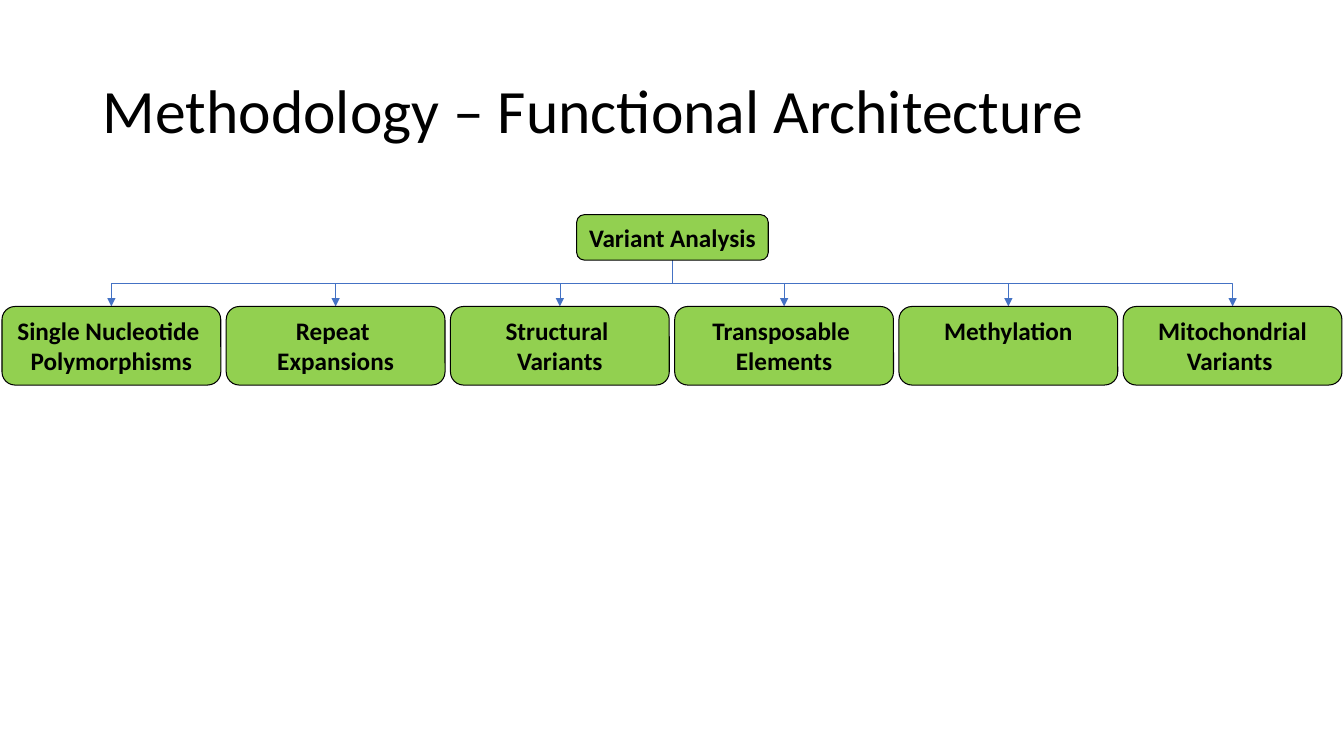
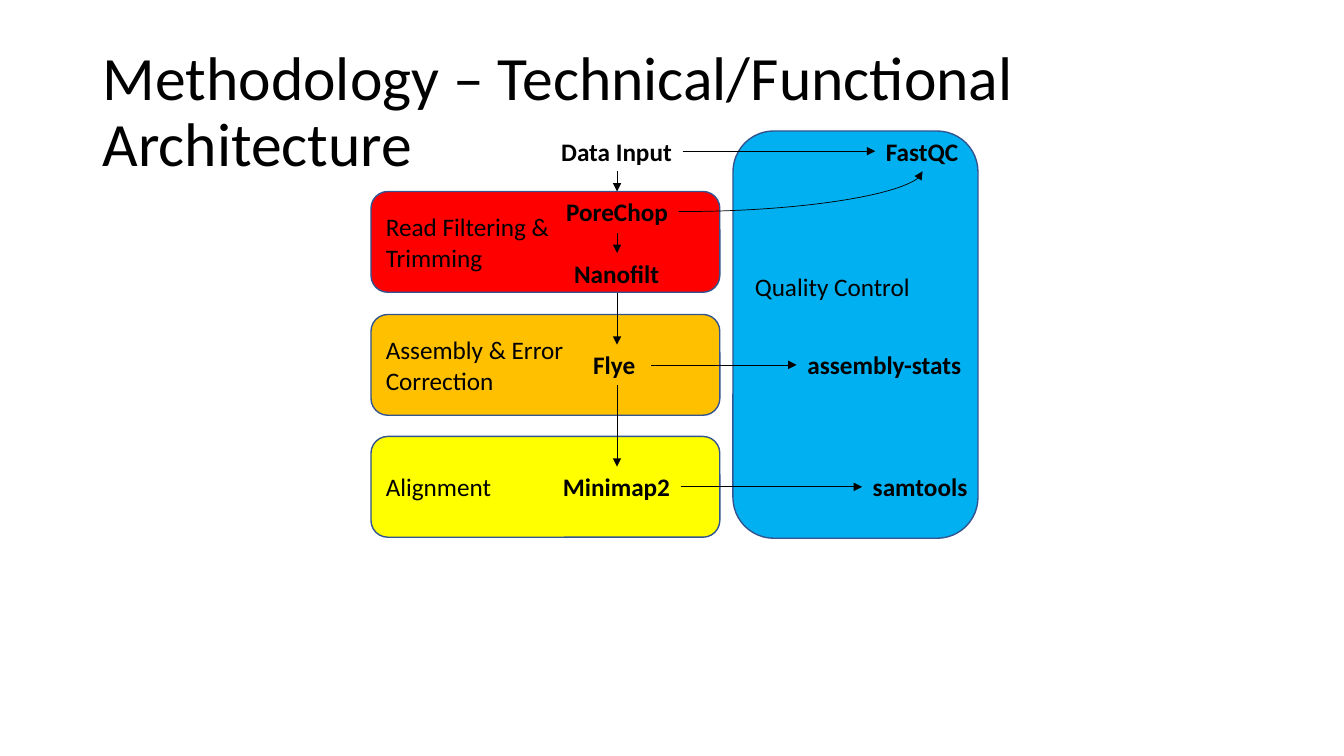
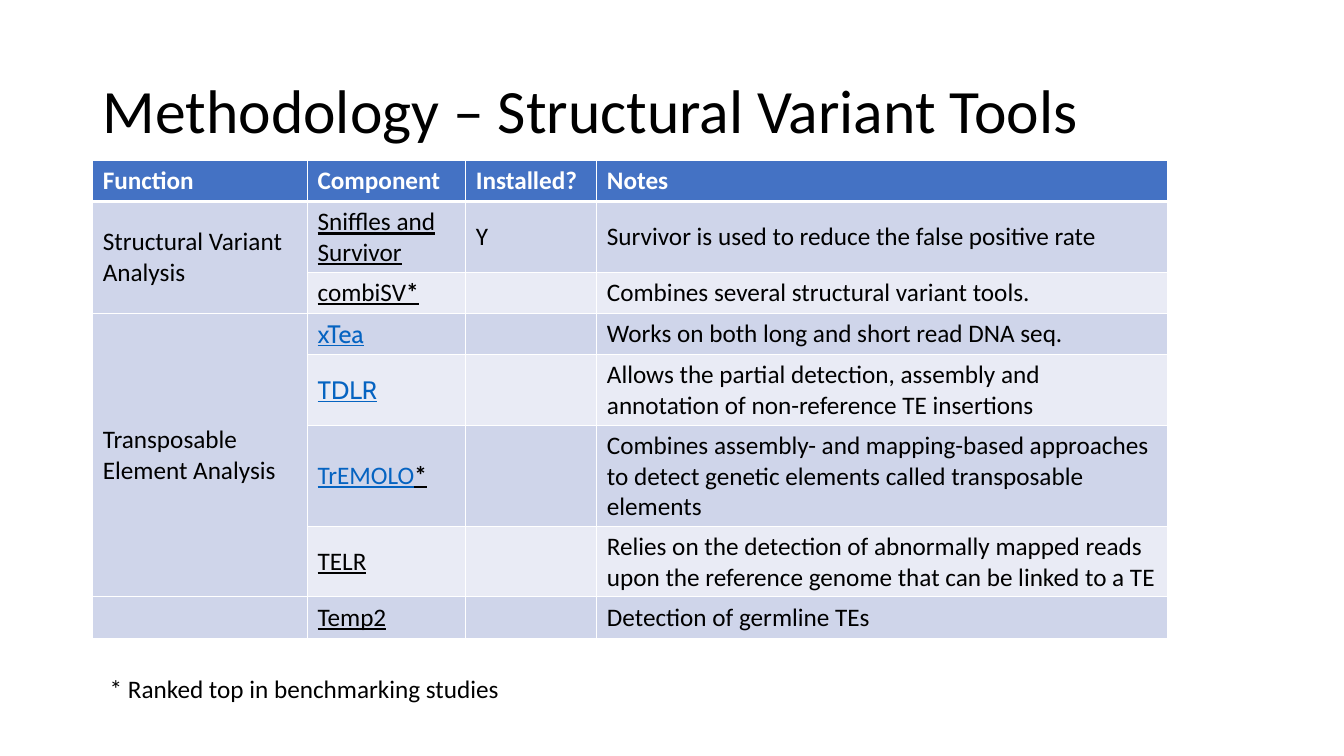
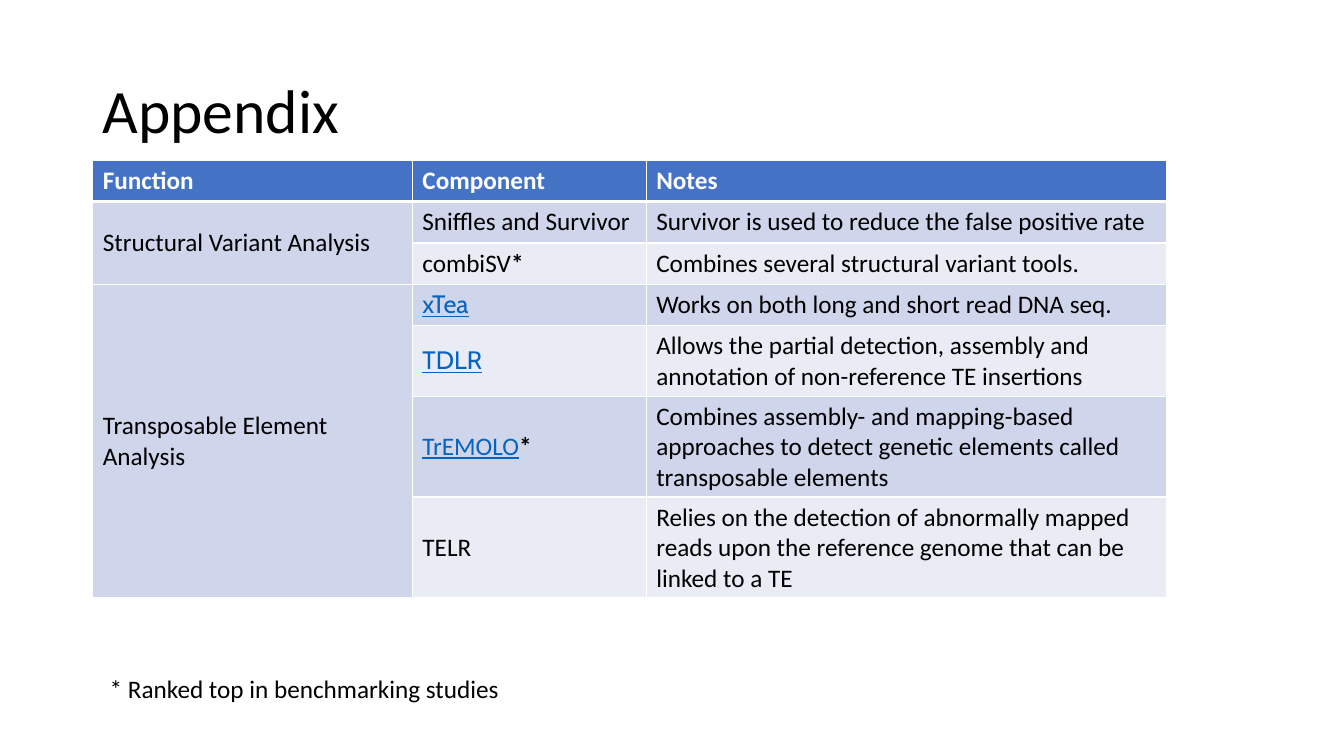
from dataclasses import dataclass, replace

from lxml.etree import SubElement
from pptx import Presentation
from pptx.dml.color import RGBColor
from pptx.enum.shapes import MSO_CONNECTOR, MSO_SHAPE
from pptx.enum.text import MSO_ANCHOR, PP_ALIGN
from pptx.oxml.ns import qn
from pptx.util import Inches, Pt

WIDE, HIGH = 13.33, 7.5
FONT = "Calibri"
BLACK, WHITE, BLUE = "000000", "FFFFFF", "4472C4"
GREEN, EDGE, LINK = "92D050", "325491", "0563C1"
BANDS = ("E9EBF5", "CFD5EA")
ROW = 0.41
LABEL = 0.4
TITLE = (0.92, 0.4, 11.5, 1.45)
NOTE = (0.99, 6.63, 6.67, LABEL)


@dataclass(frozen=True)
class Run:
    text: str
    size: float = 18
    bold: bool = False
    color: str = BLACK
    font: str = FONT
    under: bool = False


@dataclass(frozen=True)
class Panel:
    box: tuple[float, float, float, float]
    fill: str
    lines: tuple[str, ...]
    drop: float | None = None


@dataclass(frozen=True)
class Label:
    text: str
    left: float
    top: float
    width: float


@dataclass(frozen=True)
class Arrow:
    start: tuple[float, float]
    end: tuple[float, float]
    color: str = BLACK


@dataclass(frozen=True)
class Tool:
    name: Run
    note: str
    star: bool = False
    ready: str = ""


@dataclass(frozen=True)
class Group:
    name: str
    size: int


KINDS = (
    ("Single Nucleotide ", "Polymorphisms"),
    ("Repeat ", "Expansions"),
    ("Structural ", "Variants"),
    ("Transposable ", "Elements"),
    ("Methylation",),
    ("Mitochondrial", "Variants "),
)

PANELS = (
    Panel((7.27, 1.3, 2.43, 4.04), "00B0F0", ("Quality Control",), 1.27),
    Panel((3.68, 4.33, 3.46, 1), "FFFF00", ("Alignment",)),
    Panel((3.68, 3.12, 3.46, 1), "FFC000", ("Assembly & Error", "Correction")),
    Panel((3.68, 1.9, 3.46, 1), "FF0000", ("Read Filtering &", "Trimming")),
)

LABELS = (
    Label("Data Input", 5.46, 1.3, 1.31),
    Label("PoreChop", 5.51, 1.9, 1.22),
    Label("Nanofilt", 5.59, 2.51, 1.05),
    Label("Flye ", 5.78, 3.42, 0.68),
    Label("Minimap2", 5.48, 4.63, 1.27),
    Label("FastQC", 8.68, 1.3, 0.93),
    Label("assembly-stats ", 7.9, 3.42, 1.8),
    Label("samtools", 8.55, 4.63, 1.15),
)

MID = 6.12
ARROWS = (
    Arrow((MID, 1.7), (MID, 1.9)),
    Arrow((MID, 2.31), (MID, 2.51)),
    Arrow((MID, 2.91), (MID, 3.42)),
    Arrow((MID, 3.82), (MID, 4.63)),
    Arrow((6.77, 1.5), (8.68, 1.5)),
    Arrow((6.46, 3.62), (7.9, 3.62)),
    Arrow((6.75, 4.83), (8.55, 4.83)),
)

GROUPS = (
    Group("Structural Variant Analysis", 2),
    Group("Transposable Element Analysis", 4),
)

TOOLS = (
    Tool(Run("Sniffles and Survivor"),
         "Survivor is used to reduce the false positive rate", ready="Y"),
    Tool(Run("combiSV"), "Combines several structural variant tools.", True),
    Tool(Run("xTea", color=LINK, font="Cabin", under=True),
         "Works on both long and short read DNA seq."),
    Tool(Run("TDLR", color=LINK, font="Cabin", under=True),
         "Allows the partial detection, assembly and annotation of "
         "non-reference TE insertions"),
    Tool(Run("TrEMOLO", color=LINK, under=True),
         "Combines assembly- and mapping-based approaches to detect genetic "
         "elements called transposable elements", True),
    Tool(Run("TELR"),
         "Relies on the detection of abnormally mapped reads upon the "
         "reference genome that can be linked to a TE"),
    Tool(Run("Temp2"), "Detection of germline TEs"),
)


def rgb(code: str) -> RGBColor:
    return RGBColor.from_string(code)


def write(frame, lines, align=PP_ALIGN.LEFT, anchor=MSO_ANCHOR.TOP,
          wrap: bool = True) -> None:
    """Fill a frame with paragraphs, each a sequence of runs."""
    frame.word_wrap = wrap
    frame.vertical_anchor = anchor
    for i, runs in enumerate(lines):
        para = frame.add_paragraph() if i else frame.paragraphs[0]
        para.alignment = align
        for run in runs:
            part = para.add_run()
            part.text = run.text
            font = part.font
            font.name, font.size = run.font, Pt(run.size)
            font.bold, font.underline = run.bold, run.under
            font.color.rgb = rgb(run.color)


def text(slide, box, run: Run, **style):
    frame = slide.shapes.add_textbox(*map(Inches, box)).text_frame
    write(frame, [[run]], **style)
    return frame


def start(deck, title: str):
    """Add a blank slide with its title."""
    slide = deck.slides.add_slide(deck.slide_layouts[6])
    frame = text(slide, TITLE, Run(title, 44), anchor=MSO_ANCHOR.MIDDLE)
    frame.paragraphs[0].line_spacing = 0.9
    return slide


def card(slide, box, fill: str, edge: str, width: float):
    shape = slide.shapes.add_shape(
        MSO_SHAPE.ROUNDED_RECTANGLE, *map(Inches, box))
    shape.shadow.inherit = False
    shape.fill.solid()
    shape.fill.fore_color.rgb = rgb(fill)
    shape.line.color.rgb = rgb(edge)
    shape.line.width = Pt(width)
    return shape.text_frame


def link(slide, arrow: Arrow, kind=MSO_CONNECTOR.STRAIGHT):
    """Draw an arrow and return its shape properties."""
    line = slide.shapes.add_connector(
        kind, *map(Inches, arrow.start + arrow.end))
    line.line.color.rgb = rgb(arrow.color)
    line.line.width = Pt(0.5)
    props = line._element.spPr
    SubElement(props.find(qn("a:ln")), qn("a:tailEnd"), type="triangle")
    SubElement(props, qn("a:effectLst"))
    return props


def drop(slide, top: tuple[float, float], end: tuple[float, float]) -> None:
    """Draw a bent arrow that leaves downwards: a quarter-turned elbow."""
    midx, midy = (top[0] + end[0]) / 2, (top[1] + end[1]) / 2
    right = end[0] > top[0]
    half = (end[1] - top[1]) / 2 * (-1 if right else 1)
    rise = abs(end[0] - top[0]) / 2
    turned = Arrow((midx - half, midy - rise), (midx + half, midy + rise), BLUE)
    props = link(slide, turned, MSO_CONNECTOR.ELBOW)
    props.find(qn("a:xfrm")).set("rot", str((270 if right else 90) * 60000))


def curve(slide, arrow: Arrow) -> None:
    props = link(slide, arrow, MSO_CONNECTOR.CURVE)
    props.find(qn("a:prstGeom")).set("prst", "curvedConnector2")


def paint(cell, row: int) -> None:
    """Set the borders and fill of a cell in the given row."""
    props = cell._tc.get_or_add_tcPr()
    heavy = {0: "lnB", 1: "lnT"}.get(row)
    for side in ("lnL", "lnR", "lnT", "lnB"):
        width = Pt(3 if side == heavy else 1)
        line = SubElement(props, qn(f"a:{side}"), w=str(width))
        fill = SubElement(line, qn("a:solidFill"))
        SubElement(fill, qn("a:srgbClr"), val=WHITE)
    cell.fill.solid()
    cell.fill.fore_color.rgb = rgb(BANDS[row % 2] if row else BLUE)


def fill(cell, runs) -> None:
    write(cell.text_frame, [runs])
    cell.vertical_anchor = MSO_ANCHOR.MIDDLE


def grid(slide, heads, widths, tools, full: bool) -> None:
    """Draw the tool table; the full one has more underlines and a column."""
    count = len(tools) + 1
    box = (0.92, 1.59, sum(widths), ROW * count)
    table = slide.shapes.add_table(
        count, len(heads), *map(Inches, box)).table
    for col, width in zip(table.columns, widths):
        col.width = Inches(width)
    for i, row in enumerate(table.rows):
        row.height = Inches(ROW)
        for cell in row.cells:
            paint(cell, i)
            cell.text_frame.paragraphs[0].font.size = Pt(18)
    for i, head in enumerate(heads):
        write(table.cell(0, i).text_frame,
              [[Run(head, bold=True, color=WHITE)]])
    for i, tool in enumerate(tools, 1):
        name = [replace(tool.name, under=full or tool.name.under)]
        if tool.star:
            name.append(Run("*", bold=True, under=full))
        fill(table.cell(i, 1), name)
        if tool.ready and full:
            fill(table.cell(i, 2), [Run(tool.ready)])
        fill(table.cell(i, len(heads) - 1), [Run(tool.note)])
    first = 1
    for group in GROUPS:
        cell = table.cell(first, 0)
        cell.merge(table.cell(first + group.size - 1, 0))
        fill(cell, [Run(group.name)])
        first += group.size
    text(slide, NOTE, Run("* Ranked top in benchmarking studies"))


def tree(deck) -> None:
    slide = start(deck, "Methodology – Functional Architecture")
    edge, width, top = 0.02, 2.17, 3.04
    root = (5.72, 2.13, 1.9, 0.45)
    stem = (root[0] + root[2] / 2, root[1] + root[3])
    step = (WIDE - 2 * edge - width) / (len(KINDS) - 1)
    nodes = [(root, ("Variant Analysis",))]
    for i, lines in enumerate(KINDS):
        left = edge + i * step
        nodes.append(((left, top, width, 0.78), lines))
        drop(slide, stem, (left + width / 2, top))
    for box, lines in nodes:
        write(card(slide, box, GREEN, BLACK, 0.75),
              [[Run(line, bold=True)] for line in lines],
              align=PP_ALIGN.CENTER, wrap=False)


def flow(deck) -> None:
    slide = start(deck, "Methodology – Technical/Functional Architecture")
    for panel in PANELS:
        frame = card(slide, panel.box, panel.fill, EDGE, 1)
        anchor = MSO_ANCHOR.MIDDLE
        if panel.drop is not None:
            frame.margin_top = Inches(panel.drop)
            anchor = MSO_ANCHOR.TOP
        write(frame, [[Run(line)] for line in panel.lines], anchor=anchor)
    for label in LABELS:
        text(slide, (label.left, label.top, label.width, LABEL),
             Run(label.text, bold=True), align=PP_ALIGN.CENTER, wrap=False)
    for arrow in ARROWS:
        link(slide, arrow)
    curve(slide, Arrow((6.73, 2.1), (9.15, 1.7)))


def main() -> None:
    deck = Presentation()
    deck.slide_width, deck.slide_height = Inches(WIDE), Inches(HIGH)
    tree(deck)
    flow(deck)
    grid(start(deck, "Methodology – Structural Variant Tools"),
         ("Function", "Component", "Installed?", "Notes"),
         (2.13, 1.57, 1.3, 5.66), TOOLS, True)
    grid(start(deck, "Appendix"), ("Function", "Component", "Notes"),
         (3.17, 2.32, 5.16), TOOLS[:-1], False)
    deck.save("out.pptx")


if __name__ == "__main__":
    main()
